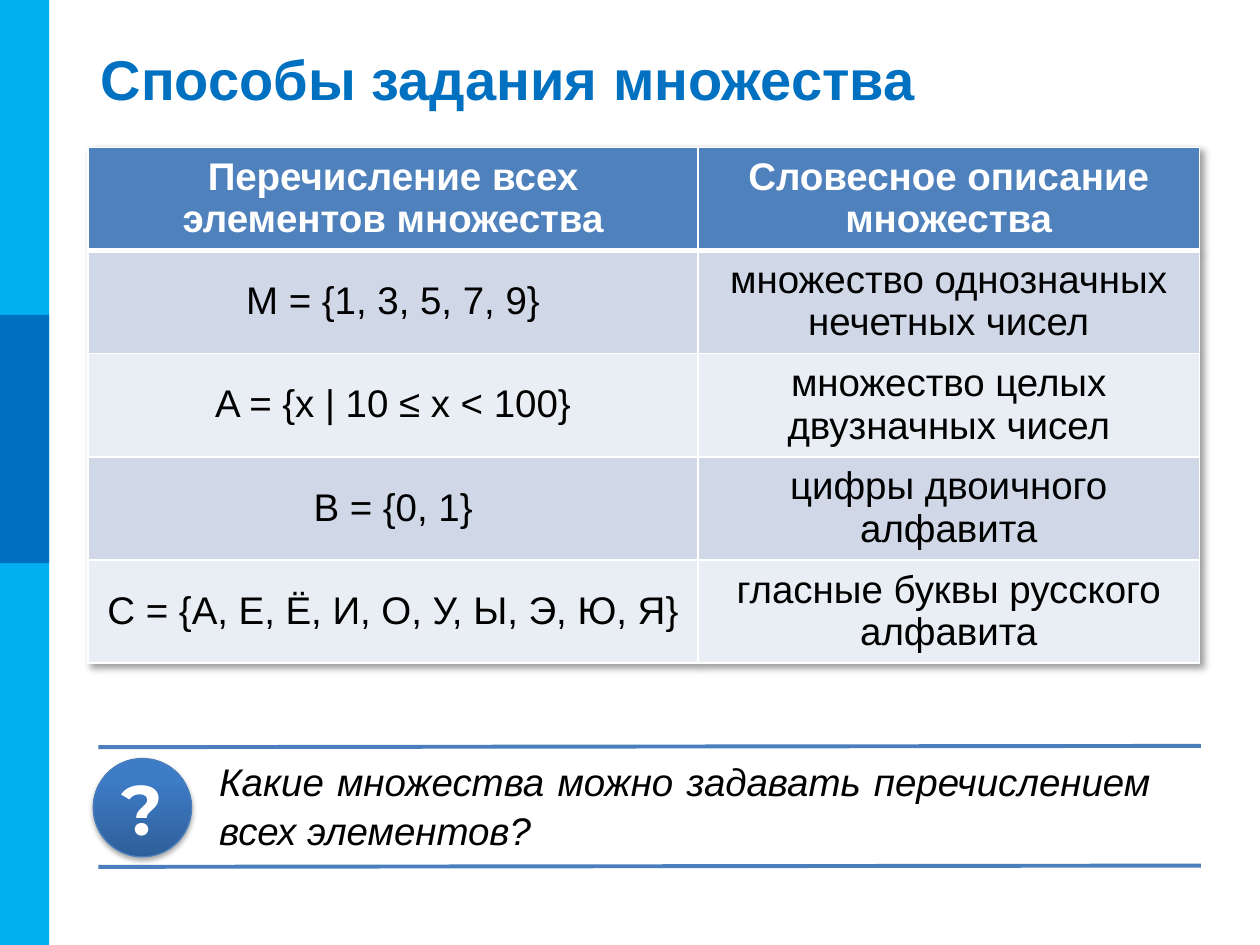
"""Build a slide on the ways of defining a set."""
from lxml import etree
from pptx import Presentation
from pptx.dml.color import RGBColor
from pptx.enum.shapes import MSO_CONNECTOR as Connector, MSO_SHAPE as Shape
from pptx.enum.text import MSO_ANCHOR as Anchor, PP_ALIGN as Align
from pptx.oxml import parse_xml
from pptx.oxml.ns import nsdecls, qn
from pptx.util import Inches, Pt

COLORS = {
    "white": "FFFFFF", "black": "000000", "sky": "00B0F0", "blue": "0070C0",
    "header": "4F81BD", "odd": "D0D8E8", "even": "E9EDF4",
    "line": "4B7EBC", "dark": "2F5F99", "light": "3D7CC7",
}
ROWS = [
    ("Перечисление всех\nэлементов множества", "Словесное описание множества"),
    ("M = {1, 3, 5, 7, 9}", "множество однозначных нечетных чисел"),
    ("A = {x | 10 ≤ x < 100}", "множество целых\nдвузначных чисел"),
    ("B = {0, 1}", "цифры двоичного\nалфавита"),
    ("C = {А, Е, Ё, И, О, У, Ы, Э, Ю, Я}", "гласные буквы русского алфавита"),
]


def write(para, text, size, color, bold=False, italic=False, name="Arial"):
    """Add the text run by run, with a line break between its lines."""
    for number, line in enumerate(text.split("\n")):
        if number:
            para.add_line_break()
        span = para.add_run()
        span.text = line
        span.font.name = name
        span.font.size = Pt(size)
        span.font.bold = bold
        span.font.italic = italic
        span.font.color.rgb = RGBColor.from_string(COLORS[color])


def shadow(blur, distance, angle, alpha):
    """Return an effect list with one soft black shadow."""
    return parse_xml(
        f'<a:effectLst {nsdecls("a")}><a:outerShdw blurRad="{Pt(blur)}" dist="{Pt(distance)}" '
        f'dir="{angle * 60000}" algn="tl" rotWithShape="0"><a:srgbClr val="{COLORS["black"]}">'
        f'<a:alpha val="{alpha * 1000}"/></a:srgbClr></a:outerShdw></a:effectLst>')


deck = Presentation()
deck.slide_width, deck.slide_height = Inches(10), Inches(7.5)
page = deck.slides.add_slide(deck.slide_layouts[6])

for top, height, color in [(0, 7.5, "sky"), (2.5, 1.97, "blue")]:
    band = page.shapes.add_shape(Shape.RECTANGLE, 0, Inches(top), Inches(0.39), Inches(height))
    band.shadow.inherit = False
    band.fill.solid()
    band.fill.fore_color.rgb = RGBColor.from_string(COLORS[color])
    band.line.fill.background()

title = page.shapes.add_textbox(Inches(0.7), Inches(0.3), Inches(9.02), Inches(0.64))
title.text_frame.word_wrap = True
title.text_frame.vertical_anchor = Anchor.MIDDLE
write(title.text_frame.paragraphs[0], "Способы задания множества", 32, "blue", bold=True)

table = page.shapes.add_table(len(ROWS), 2, Inches(0.7), Inches(1.17), Inches(8.82), Inches(3.9)).table
table.columns[0].width, table.columns[1].width = Inches(4.84), Inches(3.98)
table_properties = table._tbl.tblPr
table_properties.insert(0, shadow(4, 3, 45, 40))
for row, texts in enumerate(ROWS):
    table.rows[row].height = Inches(0.78)
    fill = "header" if row == 0 else "odd" if row % 2 else "even"
    for column, text in enumerate(texts):
        cell = table.cell(row, column)
        cell.vertical_anchor = Anchor.MIDDLE
        para = cell.text_frame.paragraphs[0]
        para.alignment = Align.CENTER
        para.line_spacing = 0.98
        write(para, text, 22, "black" if row else "white", bold=row == 0)
        properties = cell._tc.get_or_add_tcPr()
        for side in "LRTB":
            thick = (row, side) in [(0, "B"), (1, "T")]
            border = etree.SubElement(properties, qn(f"a:ln{side}"), w=str(Pt(3 if thick else 1)))
            solid = etree.SubElement(border, qn("a:solidFill"))
            etree.SubElement(solid, qn("a:srgbClr"), val=COLORS["white"])
        cell.fill.solid()
        cell.fill.fore_color.rgb = RGBColor.from_string(COLORS[fill])

question = page.shapes.add_textbox(Inches(1.64), Inches(5.94), Inches(7.59), Inches(0.86))
question.text_frame.word_wrap = True
para = question.text_frame.paragraphs[0]
para.alignment = Align.JUSTIFY
para.line_spacing = 1.07
write(para, "Какие множества можно задавать перечислением всех элементов?", 22, "black", italic=True)

badge = page.shapes.add_shape(Shape.OVAL, Inches(0.74), Inches(6.02), Inches(0.78), Inches(0.78))
badge.fill.gradient()
badge.fill.gradient_angle = 90
for stop, position, color in zip(badge.fill.gradient_stops, (0, 0.8), ("dark", "light")):
    stop.position = position
    stop.color.rgb = RGBColor.from_string(COLORS[color])
badge.line.color.rgb = RGBColor.from_string(COLORS["line"])
badge.line.width = Pt(0.75)
badge._element.spPr.append(shadow(3.1, 1.8, 90, 35))
frame = badge.text_frame
frame.margin_left = frame.margin_right = frame.margin_top = frame.margin_bottom = 0
frame.vertical_anchor = Anchor.MIDDLE
frame.paragraphs[0].alignment = Align.CENTER
write(frame.paragraphs[0], "?", 40, "white", bold=True, name="Montserrat")

for top in (5.93, 6.88):
    rule = page.shapes.add_connector(
        Connector.STRAIGHT, Inches(0.78), Inches(top), Inches(9.53), Inches(top - 0.01))
    rule.line.color.rgb = RGBColor.from_string(COLORS["line"])
    rule.line.width = Pt(2.25)
    etree.SubElement(rule._element.spPr, qn("a:effectLst"))

deck.save("out.pptx")
